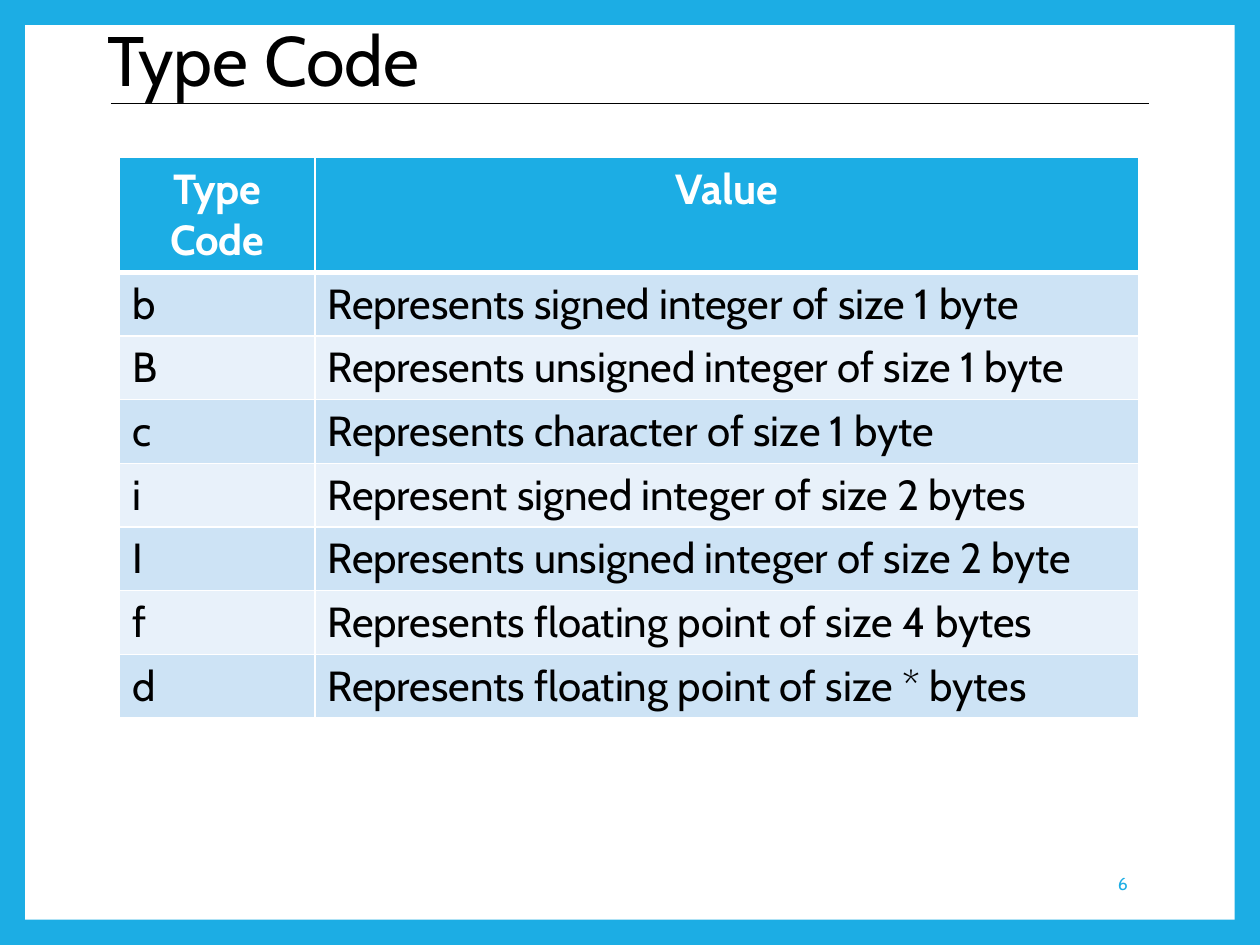
from dataclasses import dataclass

from lxml.etree import SubElement
from pptx import Presentation
from pptx.dml.color import RGBColor
from pptx.enum.shapes import MSO_CONNECTOR, MSO_SHAPE
from pptx.enum.text import MSO_ANCHOR, PP_ALIGN
from pptx.oxml import parse_xml
from pptx.oxml.ns import nsdecls, qn
from pptx.util import Inches, Pt

COLOURS = {
    "accent": "1CADE4",
    "paper": "FFFFFF",
    "ink": "000000",
    "odd": "CDE3F5",
    "even": "E8F1FA",
}
FONT = "Cabin"
WIDTH, HEIGHT = 10, 7.5
MARGIN = 0.2
COLUMN_WIDTHS = (1.55, 6.54)
HEADER_HEIGHT, ROW_HEIGHT = 0.89, 0.5


@dataclass(frozen=True)
class TypeCode:
    code: str
    meaning: str


HEADER = TypeCode("Type Code", "Value")
TYPE_CODES = [
    TypeCode("b", "Represents signed integer of size 1 byte"),
    TypeCode("B", "Represents unsigned integer of size 1 byte"),
    TypeCode("c", "Represents character of size 1 byte"),
    TypeCode("i", "Represent signed integer of size 2 bytes"),
    TypeCode("I", "Represents unsigned integer of size 2 byte"),
    TypeCode("f", "Represents floating point of size 4 bytes"),
    TypeCode("d", "Represents floating point of size * bytes"),
]


def colour(name: str) -> RGBColor:
    return RGBColor.from_string(COLOURS[name])


def paint(fill, name: str) -> None:
    fill.solid()
    fill.fore_color.rgb = colour(name)


def write(frame, text: str, size: float, ink: str, align=PP_ALIGN.LEFT, bold=False):
    """Put one formatted paragraph in a text frame."""
    para = frame.paragraphs[0]
    para.alignment = align
    span = para.add_run()
    span.text = text
    for name, value in {"name": FONT, "size": Pt(size), "bold": bold}.items():
        setattr(span.font, name, value)
    span.font.color.rgb = colour(ink)
    return para


def place(shape, left: float, top: float, width: float, height: float) -> None:
    box = {"left": left, "top": top, "width": width, "height": height}
    for name, value in box.items():
        setattr(shape, name, Inches(value))


def set_borders(cell, top: float, bottom: float) -> None:
    """Draw white cell borders; the side borders are one point wide."""
    properties = cell._tc.get_or_add_tcPr()
    widths = {"lnL": 1, "lnR": 1, "lnT": top, "lnB": bottom}
    for position, (tag, width) in enumerate(widths.items()):
        border = parse_xml(f'<a:{tag} {nsdecls("a")} w="{Pt(width)}"/>')
        fill = SubElement(border, qn("a:solidFill"))
        SubElement(fill, qn("a:srgbClr"), val=COLOURS["paper"])
        properties.insert(position, border)


def add_panel(page) -> None:
    panel = page.shapes.add_shape(
        MSO_SHAPE.RECTANGLE, Inches(MARGIN), Inches(MARGIN),
        Inches(WIDTH - 2 * MARGIN), Inches(HEIGHT - 2 * MARGIN))
    panel.shadow.inherit = False
    paint(panel.fill, "paper")
    panel.line.fill.background()
    # The panel lies behind the title
    page.shapes.title.element.addprevious(panel.element)


def add_title(page, text: str) -> None:
    title = page.shapes.title
    place(title, 0.75, -0.23, 8.1, 1.48)
    title.text_frame.vertical_anchor = MSO_ANCHOR.MIDDLE
    write(title.text_frame, text, 40, "ink").line_spacing = 0.9


def add_rule(page) -> None:
    rule = page.shapes.add_connector(
        MSO_CONNECTOR.STRAIGHT, Inches(0.88), Inches(0.82), Inches(9.12), Inches(0.82))
    rule.line.color.rgb = colour("ink")
    rule.line.width = Pt(0.79)
    SubElement(rule.element.spPr, qn("a:effectLst"))


def add_type_table(page, rows: list[TypeCode]) -> None:
    height = HEADER_HEIGHT + ROW_HEIGHT * (len(rows) - 1)
    table = page.shapes.add_table(
        len(rows), len(COLUMN_WIDTHS), Inches(0.95), Inches(1.25),
        Inches(sum(COLUMN_WIDTHS)), Inches(height)).table
    for column, width in zip(table.columns, COLUMN_WIDTHS):
        column.width = Inches(width)
    for index, row in enumerate(rows):
        header = index == 0
        table.rows[index].height = Inches(HEADER_HEIGHT if header else ROW_HEIGHT)
        shade = "accent" if header else ("odd" if index % 2 else "even")
        for cell, text in zip(table.rows[index].cells, (row.code, row.meaning)):
            paint(cell.fill, shade)
            set_borders(cell, top=3 if index == 1 else 1, bottom=3 if header else 1)
            write(cell.text_frame, text, 24, "paper" if header else "ink",
                  PP_ALIGN.CENTER if header else PP_ALIGN.LEFT, header)


def add_page_number(page, number: int) -> None:
    box = page.shapes.add_textbox(Inches(7.65), Inches(6.81), Inches(1.4), Inches(0.4))
    box.text_frame.word_wrap = True
    box.text_frame.vertical_anchor = MSO_ANCHOR.MIDDLE
    write(box.text_frame, str(number), 10, "accent", PP_ALIGN.RIGHT)


def main() -> None:
    deck = Presentation()
    deck.slide_width, deck.slide_height = Inches(WIDTH), Inches(HEIGHT)
    page = deck.slides.add_slide(deck.slide_layouts.get_by_name("Title Only"))

    # Frame and heading
    paint(page.background.fill, "accent")
    add_panel(page)
    add_title(page, "Type Code")
    add_rule(page)

    # Content and footer
    add_type_table(page, [HEADER, *TYPE_CODES])
    add_page_number(page, 6)
    deck.save("out.pptx")


if __name__ == "__main__":
    main()
